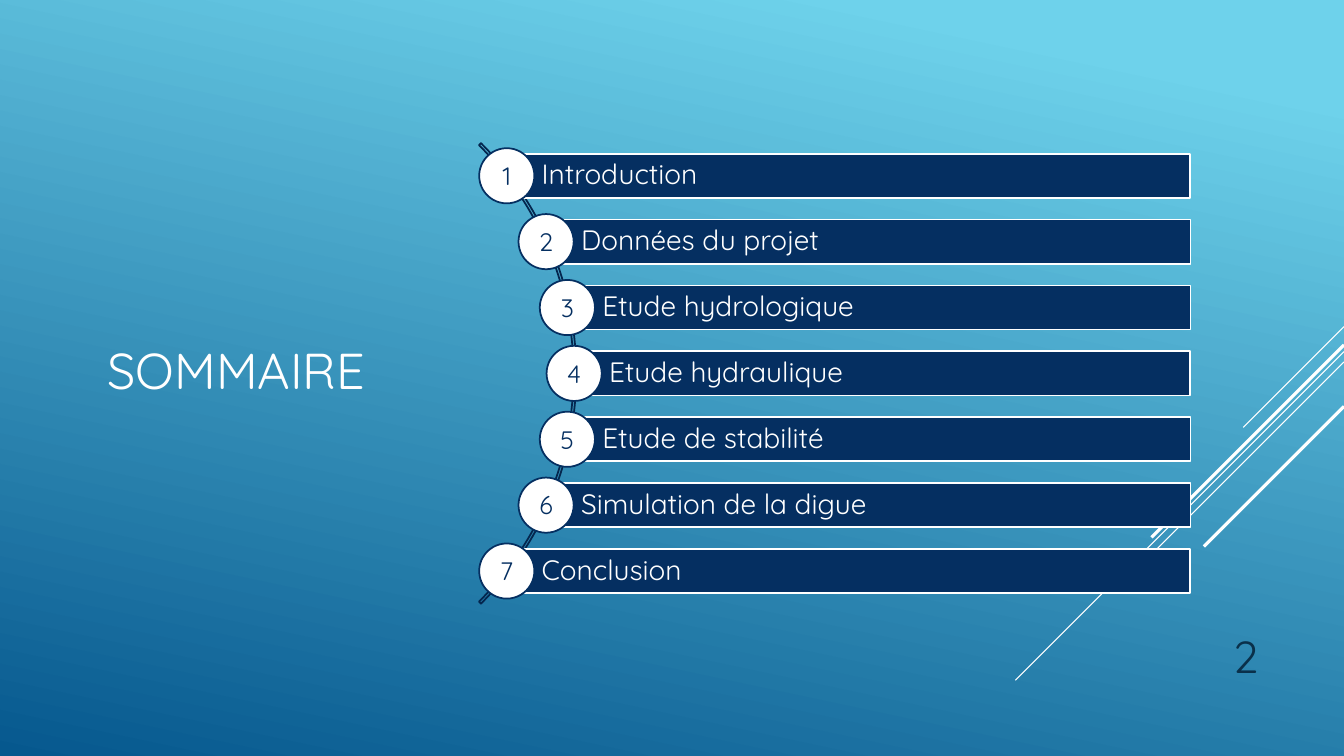
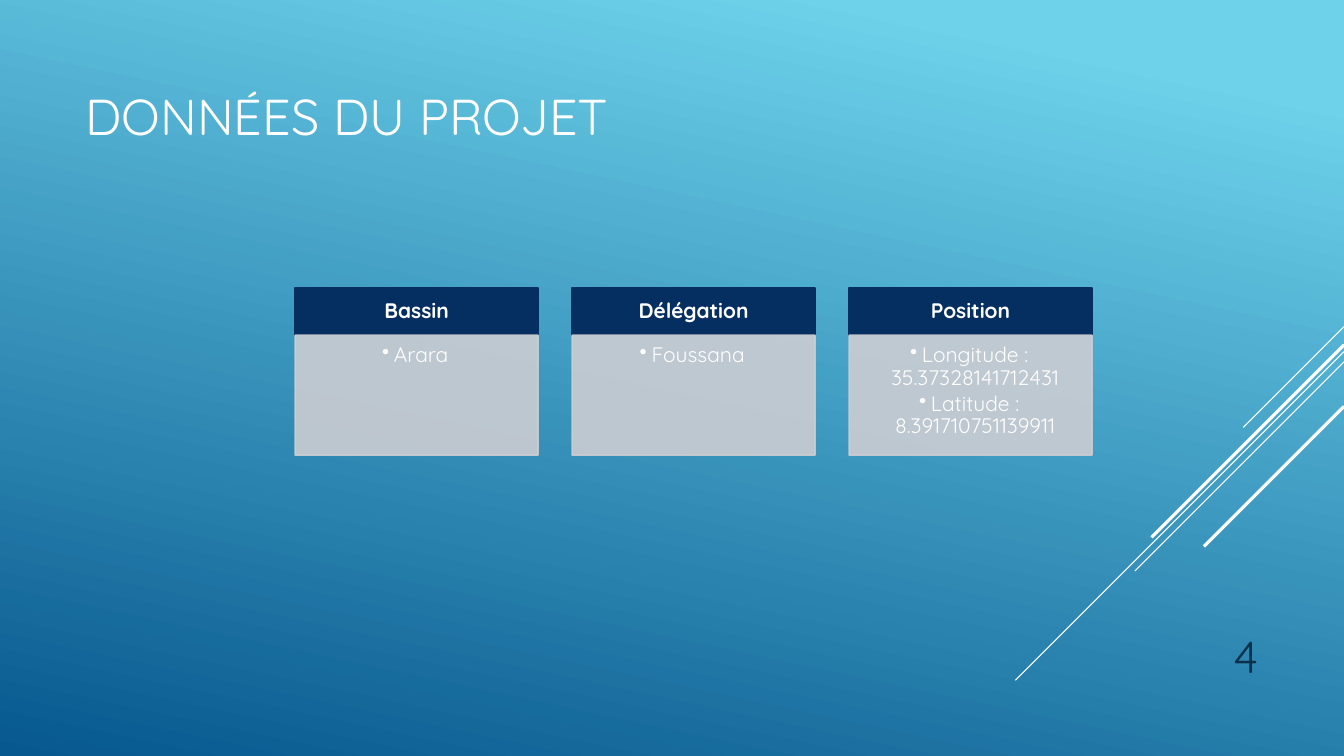
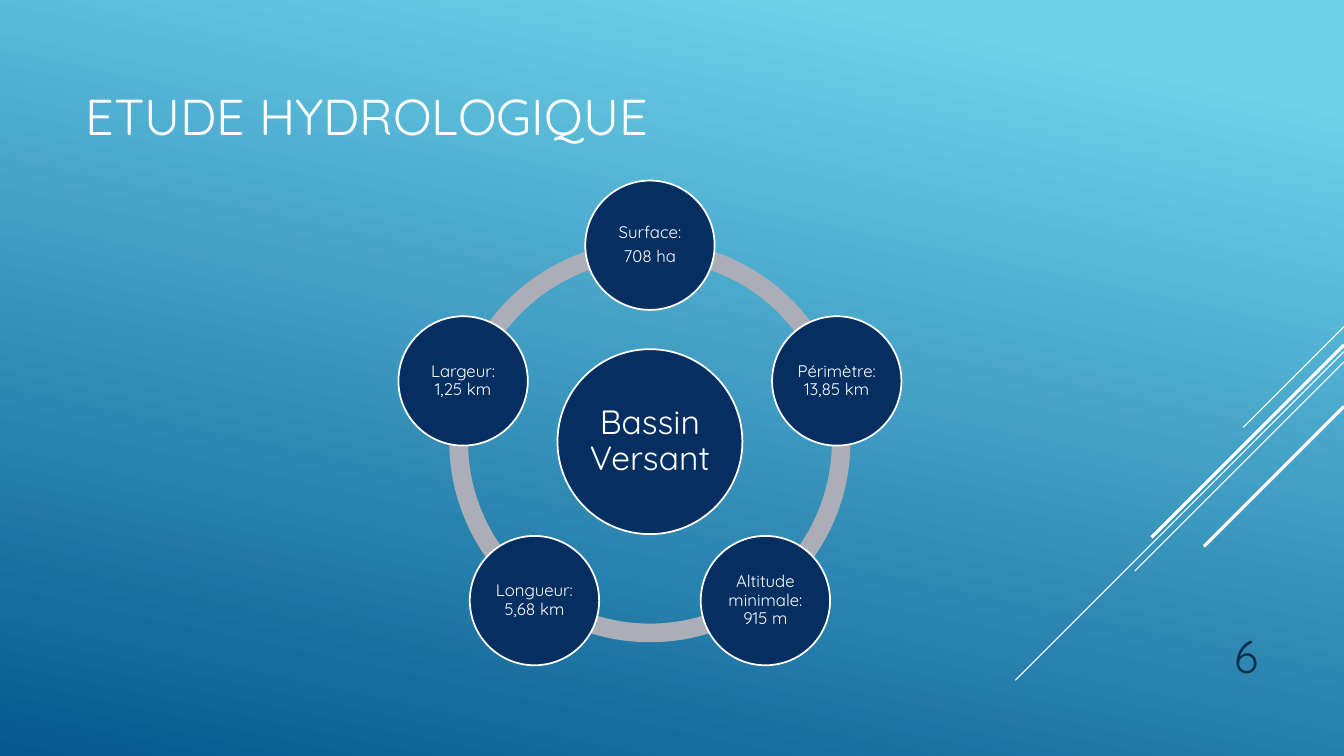
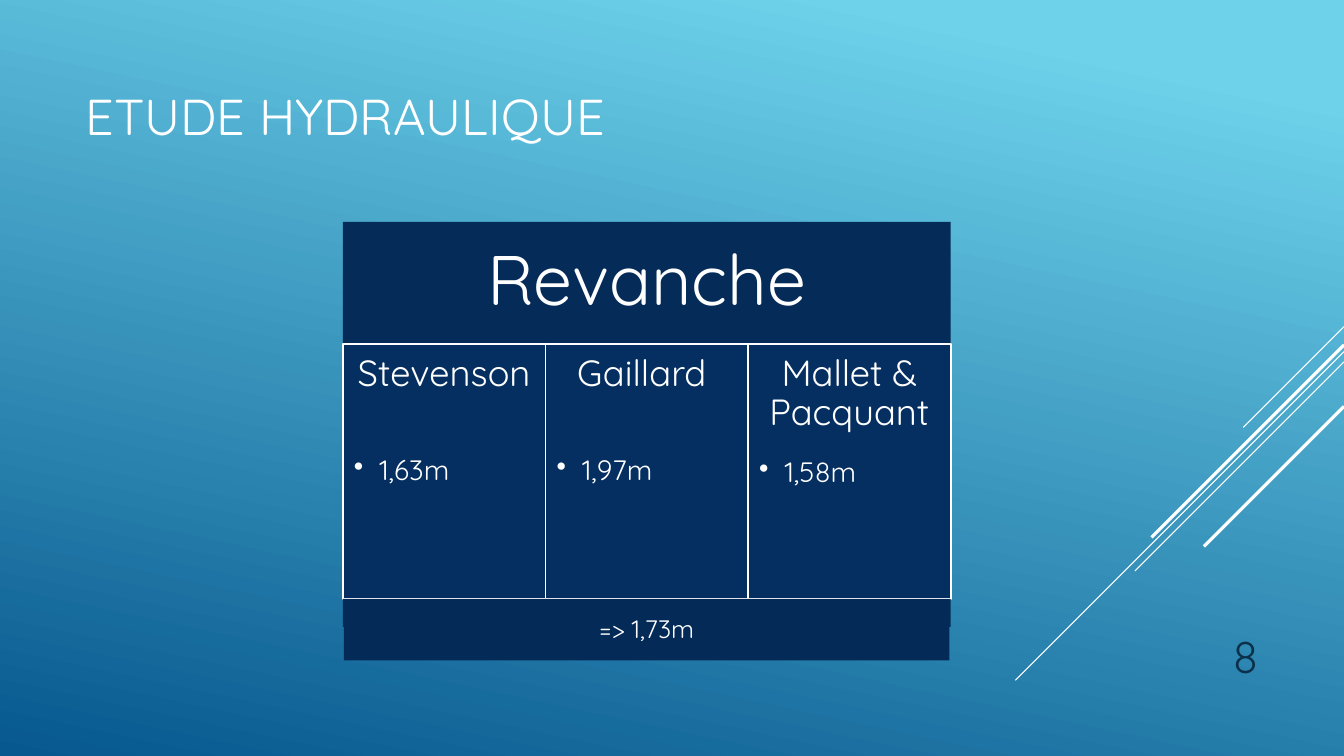
import copy
import math

import lxml.etree
import pptx
import pptx.dml.color
import pptx.enum.shapes
import pptx.enum.text
import pptx.oxml
import pptx.oxml.ns
import pptx.util

Cm, Pt = pptx.util.Cm, pptx.util.Pt
SHAPE = pptx.enum.shapes.MSO_SHAPE
ALIGN = pptx.enum.text.PP_ALIGN
ANCHOR = pptx.enum.text.MSO_ANCHOR
qn = pptx.oxml.ns.qn

# Content
AGENDA_TITLE = "SOMMAIRE"
AGENDA = [
    "Introduction", "Données du projet", "Etude hydrologique", "Etude hydraulique",
    "Etude de stabilité", "Simulation de la digue", "Conclusion",
]
PROJECT_TITLE = "DONNÉES DU PROJET"
PROJECT = [
    ("Bassin", ["Arara"]),
    ("Délégation", ["Foussana"]),
    ("Position", ["Longitude : 35.37328141712431", "Latitude : 8.391710751139911"]),
]
HYDROLOGY_TITLE = "ETUDE HYDROLOGIQUE"
BASIN = "Bassin Versant"
BASIN_FACTS = [
    ["Surface:", "708 ha"],
    ["Périmètre:\n13,85 km"],
    ["Altitude minimale:\n915 m"],
    ["Longueur:\n5,68 km"],
    ["Largeur:\n1,25 km"],
]
HYDRAULICS_TITLE = "ETUDE HYDRAULIQUE"
FREEBOARD = "Revanche"
METHODS = [  # name, value, points between them
    ("Stevenson", "1,63m", 44.5),
    ("Gaillard ", "1,97m", 44.5),
    ("Mallet & Pacquant", "1,58m", 18),
]
RESULT = "=> 1,73m"

# Shared look, lengths in centimetres
WIDTH, HEIGHT = 33.87, 19.05
FONT = "Quicksand"
WHITE, NAVY, DEEP_NAVY, RESULT_NAVY = "FFFFFF", "052F61", "052B58", "042A57"
ARC_NAVY, NUMBER_INK, PALE, RING_GREY = "04264E", "0A304A", "CCCDD2", "ABADB7"
BACKGROUND = [(0.1, "6ED2EB"), (1, "06588E")]
BACKGROUND_ANGLE = 258
OUTLINE = 1.25
TITLE_FRAME = (1.91, 1.7, 23.7, 2.11)
AGENDA_TITLE_FRAME = (2.46, 8.1, 23.7, 2.11)
NUMBER_FRAME = (28.78, 15.49, 3.18, 1.85)
# Diagonals from the right edge: start height, run, line width
DIAGONALS = [(8.23, 2.54, 0.75), (8.86, 8.28, 0.75), (9.12, 5.27, 0.75),
             (8.69, 4.85, 2.25), (10.24, 3.53, 2.25)]


def rgb(value):
    return pptx.dml.color.RGBColor.from_string(value)


def apply(target, values):
    for name, value in values.items():
        setattr(target, name, value)


def set_alpha(fill_parent, percent):
    for colour in fill_parent.iter(qn("a:srgbClr")):
        lxml.etree.SubElement(colour, qn("a:alpha"), val=str(percent * 1000))


def add_shape(slide, kind, frame, fill=None, line=None):
    shape = slide.shapes.add_shape(kind, *map(Cm, frame))
    shape.shadow.inherit = False
    for part, colour in ((shape.fill, fill), (shape.line.fill, line)):
        if colour:
            part.solid()
            part.fore_color.rgb = rgb(colour)
        else:
            part.background()
    if line:
        shape.line.width = Pt(OUTLINE)
    return shape


def add_circle(slide, x, y, size, fill, line):
    return add_shape(slide, SHAPE.OVAL, (x - size / 2, y - size / 2, size, size), fill, line)


def add_arc(slide, x, y, size, start, end, thickness, **colours):
    arc = add_shape(slide, SHAPE.BLOCK_ARC, (x - size / 2, y - size / 2, size, size), **colours)
    # Angles are stored in 60000ths of a degree, scaled here by 100000
    for index, value in enumerate((start * 0.6, end * 0.6, thickness / size)):
        arc.adjustments[index] = value


def set_frame(shape, insets=(0.25, 0.13, 0.25, 0.13), anchor=ANCHOR.MIDDLE):
    sides = ("margin_left", "margin_top", "margin_right", "margin_bottom")
    apply(shape.text_frame, {"word_wrap": True, "vertical_anchor": anchor,
                             **{side: Cm(inset) for side, inset in zip(sides, insets)}})
    return shape.text_frame


def add_line(frame, text, size, colour=WHITE, bold=False, bullet=None, **layout):
    line = frame.paragraphs[0] if not frame.text else frame.add_paragraph()
    line.text = text
    apply(line, {"alignment": ALIGN.CENTER, "line_spacing": 0.9, **layout})
    for run in line.runs:
        apply(run.font, {"name": FONT, "size": Pt(size), "bold": bold})
        run.font.color.rgb = rgb(colour)
    for line_break in line._p.findall(qn("a:br")):
        line_break.insert(0, copy.deepcopy(line.runs[0]._r.rPr))
    if bullet:
        layout_xml = line._p.get_or_add_pPr()
        layout_xml.set("marL", str(Cm(bullet)))
        layout_xml.set("indent", str(-Cm(bullet)))
        lxml.etree.SubElement(layout_xml, qn("a:buChar"), char="•")


def add_label(slide, frame, text, size, colour, alignment):
    label = slide.shapes.add_textbox(*map(Cm, frame))
    add_line(set_frame(label, anchor=ANCHOR.BOTTOM), text, size, colour, alignment=alignment)


def set_background(master):
    fill = master.background.fill
    fill.gradient()
    fill.gradient_angle = BACKGROUND_ANGLE
    for stop, (position, colour) in zip(fill.gradient_stops, BACKGROUND):
        stop.position = position
        stop.color.rgb = rgb(colour)


def add_slide(deck, title, number, title_frame=TITLE_FRAME):
    slide = deck.slides.add_slide(deck.slide_layouts[6])
    for top, run, width in DIAGONALS:
        diagonal = slide.shapes.add_connector(
            pptx.enum.shapes.MSO_CONNECTOR.STRAIGHT,
            *map(Cm, (WIDTH, top, WIDTH - run, top + run)))
        diagonal.line.color.rgb = rgb(WHITE)
        diagonal.line.width = Pt(width)
        lxml.etree.SubElement(diagonal._element.spPr, qn("a:effectLst"))
    add_label(slide, title_frame, title, 36, WHITE, ALIGN.LEFT)
    add_label(slide, NUMBER_FRAME, number, 32, NUMBER_INK, ALIGN.RIGHT)
    return slide


def build_agenda(deck):
    slide = add_slide(deck, AGENDA_TITLE, "2", AGENDA_TITLE_FRAME)
    centre_x, centre_y, radius = 6.32, 9.41, 8.15
    pitch, bar_height, bar_right = 1.66, 1.11, 30
    add_arc(slide, centre_x, centre_y, 16.41, 315, 45, 0.07, line=ARC_NAVY)
    for index, topic in enumerate(AGENDA):
        offset = (index - (len(AGENDA) - 1) / 2) * pitch
        x, y = centre_x + math.sqrt(radius ** 2 - offset ** 2), centre_y + offset
        bar = add_shape(slide, SHAPE.RECTANGLE,
                        (x, y - bar_height / 2, bar_right - x, bar_height), NAVY, WHITE)
        add_line(set_frame(bar, (0.88, 0.15, 0.15, 0.15)), topic, 20, alignment=ALIGN.LEFT)
        badge = add_circle(slide, x, y, 1.39, WHITE, NAVY)
        add_line(set_frame(badge, (0, 0.08, 0, 0)), str(index + 1), 18, NAVY)


def build_project(deck):
    slide = add_slide(deck, PROJECT_TITLE, "4")
    left, top, width, gap = 7.44, 7.26, 6.12, 0.86
    head_height, body_height = 1.19, 3.02
    for index, (heading, facts) in enumerate(PROJECT):
        x = left + index * (width + gap)
        head = add_shape(slide, SHAPE.RECTANGLE, (x, top, width, head_height), NAVY, NAVY)
        add_line(set_frame(head, (0.3, 0.18, 0.3, 0.18)), heading, 15, bold=True)
        body = add_shape(slide, SHAPE.RECTANGLE,
                         (x, top + head_height, width, body_height), PALE, PALE)
        set_alpha(body._element.spPr, 90)
        frame = set_frame(body, (0.23, 0.23, 0.3, 0.33), ANCHOR.TOP)
        for fact in facts:
            add_line(frame, fact, 15, bullet=0.3, space_after=Pt(2.25))


def build_hydrology(deck):
    slide = add_slide(deck, HYDROLOGY_TITLE, "6")
    centre_x, centre_y, orbit = 16.38, 11.13, 4.95
    step = 360 / len(BASIN_FACTS)
    angles = [270 + index * step for index in range(len(BASIN_FACTS))]
    for angle in angles:
        add_arc(slide, centre_x, centre_y, 10.11, angle % 360, (angle + step) % 360, 0.47,
                fill=RING_GREY)
    hub = add_circle(slide, centre_x, centre_y, 4.66, NAVY, WHITE)
    add_line(set_frame(hub, [0.08] * 4), BASIN, 24)
    for angle, lines in zip(angles, BASIN_FACTS):
        x = centre_x + orbit * math.cos(math.radians(angle))
        y = centre_y + orbit * math.sin(math.radians(angle))
        frame = set_frame(add_circle(slide, x, y, 3.26, NAVY, WHITE), [0.05] * 4)
        for index, line in enumerate(lines):
            add_line(frame, line, 12, space_before=Pt(4 if index else 0))


def build_hydraulics(deck):
    slide = add_slide(deck, HYDRAULICS_TITLE, "8")
    left, top, width = 8.64, 5.59, 15.32
    head_height, body_height, base_height = 3.07, 6.43, 0.71
    body_top = top + head_height
    base_top = body_top + body_height
    head = add_shape(slide, SHAPE.RECTANGLE, (left, top, width, head_height), DEEP_NAVY)
    add_line(set_frame(head, [0.53] * 4), FREEBOARD, 50)
    column = width / len(METHODS)
    for index, (method, value, gap) in enumerate(METHODS):
        cell = add_shape(slide, SHAPE.RECTANGLE,
                         (left + index * column, body_top, column, body_height), NAVY, WHITE)
        frame = set_frame(cell, [0.28] * 4, ANCHOR.TOP)
        add_line(frame, method, 26)
        add_line(frame, value, 20, bullet=0.64, alignment=ALIGN.LEFT, space_before=Pt(gap))
    add_shape(slide, SHAPE.RECTANGLE, (left, base_top, width, base_height), DEEP_NAVY)
    result = add_shape(slide, SHAPE.RECTANGLE,
                       (left + 0.03, base_top + 0.03, width - 0.06, 1.52), RESULT_NAVY)
    add_line(set_frame(result), RESULT, 18)


def main():
    deck = pptx.Presentation()
    apply(deck, {"slide_width": Cm(WIDTH), "slide_height": Cm(HEIGHT)})
    set_background(deck.slide_master)
    for build in (build_agenda, build_project, build_hydrology, build_hydraulics):
        build(deck)
    deck.save("out.pptx")


if __name__ == "__main__":
    main()
